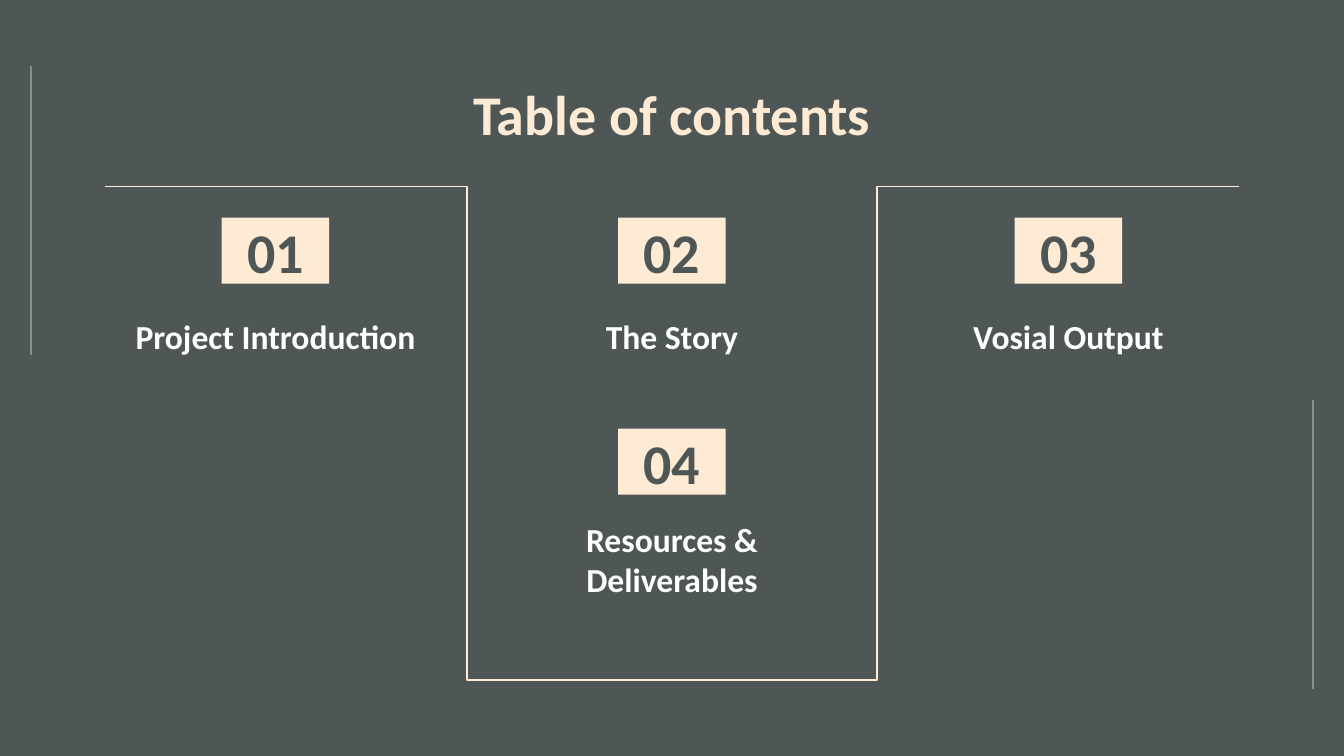
import pptx
import pptx.util
import pptx.dml.color
import pptx.enum.shapes
import pptx.enum.text
import pptx.oxml
from dataclasses import dataclass

Inches = pptx.util.Inches
Align = pptx.enum.text.PP_ALIGN
Anchor = pptx.enum.text.MSO_ANCHOR
Connector = pptx.enum.shapes.MSO_CONNECTOR


@dataclass(frozen=True)
class Theme:
    background: str = "4E5656"
    cream: str = "FFEBD4"
    white: str = "FFFFFF"
    side_rule: str = "86918E"
    font: str = "Calibri"
    heading_size: int = 30
    topic_size: int = 18
    line_width: float = 0.75


theme = Theme()
rgb = pptx.dml.color.RGBColor.from_string

WIDTH = 10
HEIGHT = WIDTH * 9 / 16
CENTER = WIDTH / 2
COLUMN_STEP = 2.95
ROW_STEP = 1.57
FIRST_ROW = 1.62
BADGE_WIDTH, BADGE_HEIGHT = 0.8, 0.49
TOPIC_WIDTH = 2.52

deck = pptx.Presentation()
deck.slide_width, deck.slide_height = Inches(WIDTH), Inches(HEIGHT)
slide = deck.slides.add_slide(deck.slide_layouts[6])
slide.background.fill.solid()
slide.background.fill.fore_color.rgb = rgb(theme.background)


def write(holder, words, size, color, anchor):
    """Fill a shape or text box with one centred bold paragraph."""
    frame = holder.text_frame
    frame.text = words
    frame.word_wrap = True
    frame.vertical_anchor = anchor
    frame.margin_left = frame.margin_right = Inches(0.1)
    frame.margin_top = frame.margin_bottom = Inches(0.1)
    paragraph = frame.paragraphs[0]
    paragraph.alignment = Align.CENTER
    font = paragraph.runs[0].font
    font.name, font.size, font.bold = theme.font, pptx.util.Pt(size), True
    font.color.rgb = rgb(color)


def rule(kind, start, end, color):
    line = slide.shapes.add_connector(kind, *map(Inches, start + end))
    line.line.color.rgb = rgb(color)
    line.line.width = pptx.util.Pt(theme.line_width)
    properties = line._element.spPr
    properties.append(pptx.oxml.parse_xml(
        '<a:effectLst xmlns:a="http://schemas.openxmlformats.org/drawingml/2006/main"/>'))


# Thin rules along both edges
for x, top in ((WIDTH - 0.23, 2.98), (0.23, 0.49)):
    rule(Connector.STRAIGHT, (x, top), (x, top + 2.15), theme.side_rule)

title = slide.shapes.add_textbox(
    Inches(0.79), Inches(0.49), Inches(WIDTH - 2 * 0.79), Inches(0.63))
write(title, "Table of contents", theme.heading_size, theme.cream, Anchor.TOP)

# Number, topic, column relative to the centre, row, topic offset, topic height
sections = [
    ("01", "Project Introduction", -1, 0, 0.63, 0.5),
    ("02", "The Story", 0, 0, 0.63, 0.5),
    ("03", "Vosial Output", 1, 0, 0.63, 0.5),
    ("04", "Resources & Deliverables", 0, 1, 0.71, 0.66),
]
for number, topic, column, row, topic_offset, topic_height in sections:
    middle = CENTER + column * COLUMN_STEP
    top = FIRST_ROW + row * ROW_STEP

    badge = slide.shapes.add_shape(
        pptx.enum.shapes.MSO_SHAPE.RECTANGLE,
        Inches(middle - BADGE_WIDTH / 2), Inches(top),
        Inches(BADGE_WIDTH), Inches(BADGE_HEIGHT))
    badge.shadow.inherit = False
    badge.fill.solid()
    badge.fill.fore_color.rgb = rgb(theme.cream)
    badge.line.fill.background()
    write(badge, number, theme.heading_size, theme.background, Anchor.MIDDLE)

    label = slide.shapes.add_textbox(
        Inches(middle - TOPIC_WIDTH / 2), Inches(top + topic_offset),
        Inches(TOPIC_WIDTH), Inches(topic_height))
    write(label, topic, theme.topic_size, theme.white, Anchor.BOTTOM)

# Two mirrored elbows overlap at the bottom to frame the middle column
for side in (-1, 1):
    rule(Connector.ELBOW, (CENTER + side * 4.22, 1.39),
         (CENTER - side * 1.17, 5.06), theme.cream)

deck.save("out.pptx")
